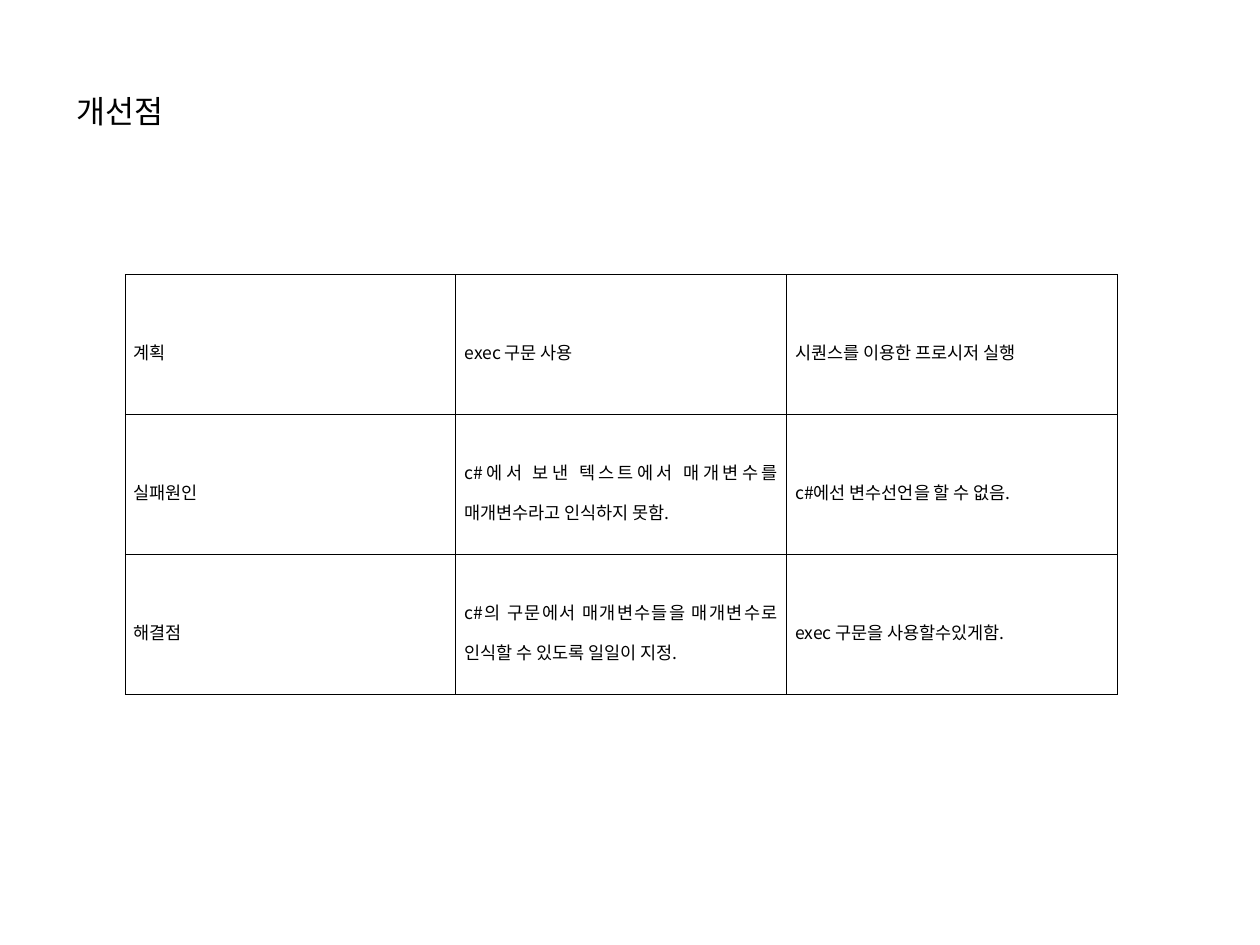
"""Build the improvements slide with its plan, cause and remedy table."""
import lxml.etree
import pptx
import pptx.dml.color
import pptx.enum.text
import pptx.oxml.ns
import pptx.util

FONT = "Noto Sans CJK KR"
BLACK = "000000"
ROWS = [
    ["계획", "exec 구문 사용", "시퀀스를 이용한 프로시저 실행"],
    ["실패원인", "c#에서 보낸 텍스트에서 매개변수를 매개변수라고 인식하지 못함.",
     "c#에선 변수선언을 할 수 없음."],
    ["해결점", "c#의 구문에서 매개변수들을 매개변수로 인식할 수 있도록 일일이 지정.",
     "exec 구문을 사용할수있게함."],
]


def rgb(value):
    """Return the colour for a hex string."""
    return pptx.dml.color.RGBColor.from_string(value)


def add_element(parent, tag, **attributes):
    """Append a drawing element with attributes to its parent."""
    return lxml.etree.SubElement(parent, pptx.oxml.ns.qn(tag), attributes)


def format_paragraph(paragraph, size, alignment, spacing):
    """Set the layout of a paragraph and the font of its runs."""
    paragraph.alignment = alignment
    paragraph.line_spacing = spacing
    for run in paragraph.runs:
        run.font.size = pptx.util.Pt(size)
        run.font.color.rgb = rgb(BLACK)
        run.font.name = FONT
        add_element(run.font._element, "a:ea", typeface=FONT)


def set_title(slide, text):
    """Fill and place the title placeholder."""
    title = slide.shapes.title
    title.left, title.top = pptx.util.Pt(36.7), pptx.util.Pt(49)
    title.width, title.height = pptx.util.Pt(69), pptx.util.Pt(29)
    text_frame = title.text_frame
    text_frame.text = text
    text_frame.word_wrap = False
    text_frame.auto_size = pptx.enum.text.MSO_AUTO_SIZE.NONE
    text_frame.vertical_anchor = pptx.enum.text.MSO_ANCHOR.MIDDLE
    format_paragraph(text_frame.paragraphs[0], 18, pptx.enum.text.PP_ALIGN.LEFT, 1.0)


def set_borders(cell, width):
    """Draw a solid line on all four sides of a cell."""
    properties = cell._tc.get_or_add_tcPr()
    for side in ("L", "R", "T", "B"):
        line = add_element(properties, f"a:ln{side}", w=str(pptx.util.Pt(width)))
        add_element(add_element(line, "a:solidFill"), "a:srgbClr", val=BLACK)


def fill_cell(cell, text):
    """Write and format one table cell."""
    cell.text_frame.text = text
    cell.vertical_anchor = pptx.enum.text.MSO_ANCHOR.MIDDLE
    cell.margin_left = cell.margin_right = pptx.util.Pt(5.1)
    cell.margin_top = cell.margin_bottom = pptx.util.Pt(1.4)
    set_borders(cell, 0.28)
    cell.fill.background()
    format_paragraph(cell.text_frame.paragraphs[0], 10,
                     pptx.enum.text.PP_ALIGN.JUSTIFY, 1.6)


def add_plan_table(slide, rows):
    """Add the table with equal rows and columns."""
    table = slide.shapes.add_table(
        len(rows), len(rows[0]), pptx.util.Pt(71.4), pptx.util.Pt(156.9),
        pptx.util.Pt(567), pptx.util.Pt(240)).table
    table.first_row = table.horz_banding = False
    for row_index, row in enumerate(rows):
        for column_index, text in enumerate(row):
            fill_cell(table.cell(row_index, column_index), text)


def main():
    """Create and save the presentation."""
    presentation = pptx.Presentation()
    presentation.slide_width = pptx.util.Pt(720)
    presentation.slide_height = pptx.util.Pt(540)
    slide = presentation.slides.add_slide(presentation.slide_layouts[5])
    set_title(slide, "개선점")
    add_plan_table(slide, ROWS)
    presentation.save("out.pptx")


if __name__ == "__main__":
    main()
